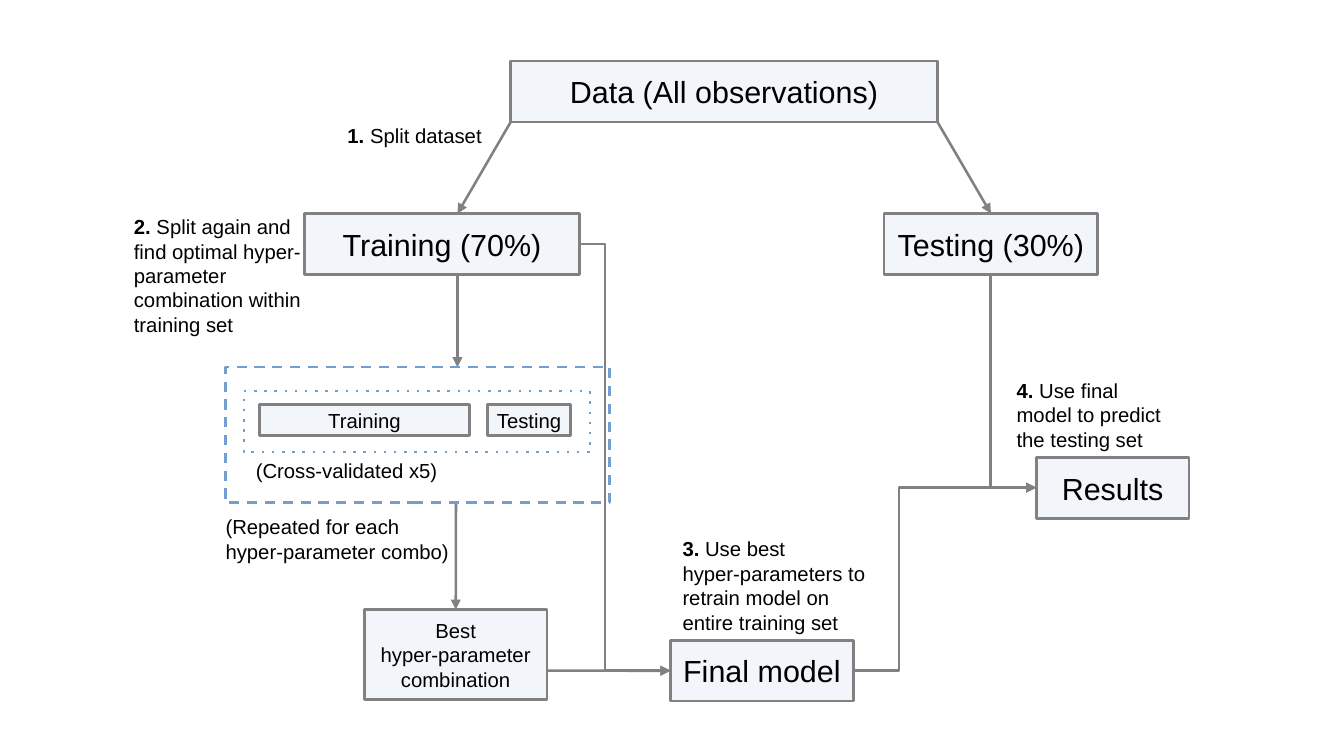
from dataclasses import dataclass
from typing import Optional

from lxml import etree
from pptx import Presentation
from pptx.dml.color import RGBColor
from pptx.enum.shapes import MSO_CONNECTOR, MSO_SHAPE
from pptx.enum.text import MSO_ANCHOR, MSO_AUTO_SIZE, PP_ALIGN
from pptx.oxml.ns import qn
from pptx.util import Cm, Pt

RECT = MSO_SHAPE.RECTANGLE
LINE, ELBOW = MSO_CONNECTOR.STRAIGHT, MSO_CONNECTOR.ELBOW
LEFT, CENTER = PP_ALIGN.LEFT, PP_ALIGN.CENTER
TOP, MIDDLE = MSO_ANCHOR.TOP, MSO_ANCHOR.MIDDLE
NO_FIT = MSO_AUTO_SIZE.NONE


@dataclass(frozen=True)
class Theme:
    font: str = "Arial"
    ink: RGBColor = RGBColor(0x00, 0x00, 0x00)
    fill: RGBColor = RGBColor(0xF2, 0xF5, 0xF9)
    edge: RGBColor = RGBColor(0x81, 0x81, 0x81)
    frame: RGBColor = RGBColor(0x72, 0x9F, 0xCF)
    big: int = 18
    small: int = 12
    width: float = 1.5


@dataclass(frozen=True)
class Area:
    x: float
    y: float
    w: float
    h: float

    def spot(self) -> tuple:
        return Cm(self.x), Cm(self.y), Cm(self.w), Cm(self.h)


@dataclass(frozen=True)
class Box:
    name: str
    area: Area
    text: str
    size: int


@dataclass(frozen=True)
class Note:
    area: Area
    mark: str
    text: str
    wrap: bool = True


@dataclass(frozen=True)
class Frame:
    area: Area
    dash: str


@dataclass(frozen=True)
class Link:
    start: tuple
    end: tuple
    bend: Optional[float] = None
    goal: str = ""
    site: int = 0


THEME = Theme()
BOX_TEXT = dict(margin_left=Cm(0.28), margin_right=Cm(0.28), margin_top=Cm(0.15),
                margin_bottom=Cm(0.15), vertical_anchor=MIDDLE, auto_size=NO_FIT,
                word_wrap=False)
NOTE_TEXT = dict(margin_left=Cm(0.25), margin_right=Cm(0.25), margin_top=Cm(0.13),
                 margin_bottom=Cm(0.13), vertical_anchor=TOP, auto_size=NO_FIT)

BOXES = [
    Box("data", Area(10.64, 1.27, 8.89, 1.27), "Data (All observations)", THEME.big),
    Box("train", Area(6.35, 4.45, 5.72, 1.27), "Training (70%)", THEME.big),
    Box("test", Area(18.42, 4.45, 4.45, 1.27), "Testing (30%)", THEME.big),
    Box("fold train", Area(5.41, 8.43, 4.37, 0.64), "Training", THEME.small),
    Box("fold test", Area(10.16, 8.43, 1.73, 0.64), "Testing", THEME.small),
    Box("best", Area(7.59, 12.7, 3.81, 1.88),
        "Best\nhyper-parameter\ncombination", THEME.small),
    Box("final", Area(13.97, 13.34, 3.81, 1.27), "Final model", THEME.big),
    Box("result", Area(21.59, 9.53, 3.18, 1.27), "Results", THEME.big),
]
LINKS = [
    Link((10.64, 2.54), (9.53, 4.45)),
    Link((19.53, 2.54), (20.64, 4.45), goal="test"),
    Link((9.53, 5.72), (9.53, 7.65)),
    Link((9.5, 10.47), (9.5, 12.7), goal="best"),
    Link((11.4, 13.97), (13.97, 13.97), goal="final", site=1),
    Link((12.07, 5.08), (13.97, 13.97), bend=0.28),
    Link((20.64, 5.72), (21.59, 10.16), bend=0),
    Link((17.78, 13.97), (21.59, 10.16), bend=0.25),
]
FRAMES = [
    Frame(Area(5.08, 8.15, 7.21, 1.27), "dot"),
    Frame(Area(4.7, 7.65, 8, 2.82), "dash"),
]
NOTES = [
    Note(Area(6.99, 2.44, 3.33, 0.74), "1. ", "Split dataset", False),
    Note(Area(2.54, 4.34, 4.45, 2.62), "2. ",
         "Split again and find optimal hyper-parameter combination within training set"),
    Note(Area(13.97, 11.05, 4.45, 2.62), "3. ",
         "Use best\nhyper-parameters to retrain model on entire training set"),
    Note(Area(20.93, 7.75, 3.81, 1.68), "4. ",
         "Use final model to predict the testing set"),
    Note(Area(5.08, 9.42, 4.29, 0.74), "", "(Cross-validated x5)", False),
    Note(Area(4.45, 10.59, 5.41, 1.19), "", "(Repeated for each hyper-parameter combo)"),
]


def apply(item, values: dict) -> None:
    for key, value in values.items():
        setattr(item, key, value)


def write(frame, text: str, size: int, align, mark: str = "") -> None:
    for row, words in enumerate(text.split("\n")):
        para = frame.paragraphs[0] if row == 0 else frame.add_paragraph()
        para.alignment = align
        for part, bold in ((mark if row == 0 else "", True), (words, False)):
            if part:
                run = para.add_run()
                run.text = part
                apply(run.font, dict(name=THEME.font, size=Pt(size), bold=bold))
                run.font.color.rgb = THEME.ink


def stroke(item, color: RGBColor, tag: str = "", **attrs: str) -> None:
    item.line.color.rgb = color
    item.line.width = Pt(THEME.width)
    if tag:
        etree.SubElement(item.element.spPr.find(qn("a:ln")), qn(tag), attrs)


def add_box(slide, box: Box):
    shape = slide.shapes.add_shape(RECT, *box.area.spot())
    shape.shadow.inherit = False
    shape.fill.solid()
    shape.fill.fore_color.rgb = THEME.fill
    stroke(shape, THEME.edge)
    apply(shape.text_frame, BOX_TEXT)
    write(shape.text_frame, box.text, box.size, CENTER)
    return shape


def add_frame(slide, frame: Frame) -> None:
    shape = slide.shapes.add_shape(RECT, *frame.area.spot())
    shape.shadow.inherit = False
    shape.fill.background()
    stroke(shape, THEME.frame, "a:prstDash", val=frame.dash)


def add_note(slide, note: Note) -> None:
    frame = slide.shapes.add_textbox(*note.area.spot()).text_frame
    apply(frame, NOTE_TEXT | dict(word_wrap=note.wrap))
    write(frame, note.text, THEME.small, LEFT, note.mark)


def add_link(slide, link: Link, made: dict) -> None:
    kind = LINE if link.bend is None else ELBOW
    ends = [Cm(value) for value in link.start + link.end]
    line = slide.shapes.add_connector(kind, *ends)
    if link.goal:
        line.end_connect(made[link.goal], link.site)
    stroke(line, THEME.edge, "a:tailEnd", type="triangle")
    props = line.element.spPr
    etree.SubElement(props, qn("a:effectLst"))
    if link.bend is not None:
        guides = props.find(qn("a:prstGeom")).find(qn("a:avLst"))
        etree.SubElement(guides, qn("a:gd"), name="adj1",
                         fmla=f"val {round(link.bend * 100000)}")


def main() -> None:
    deck = Presentation()
    deck.slide_width, deck.slide_height = Cm(28), Cm(15.75)
    slide = deck.slides.add_slide(deck.slide_layouts[6])
    made = {box.name: add_box(slide, box) for box in BOXES}
    for link in LINKS:
        add_link(slide, link, made)
    for frame in FRAMES:
        add_frame(slide, frame)
    for note in NOTES:
        add_note(slide, note)
    deck.save("out.pptx")


if __name__ == "__main__":
    main()
